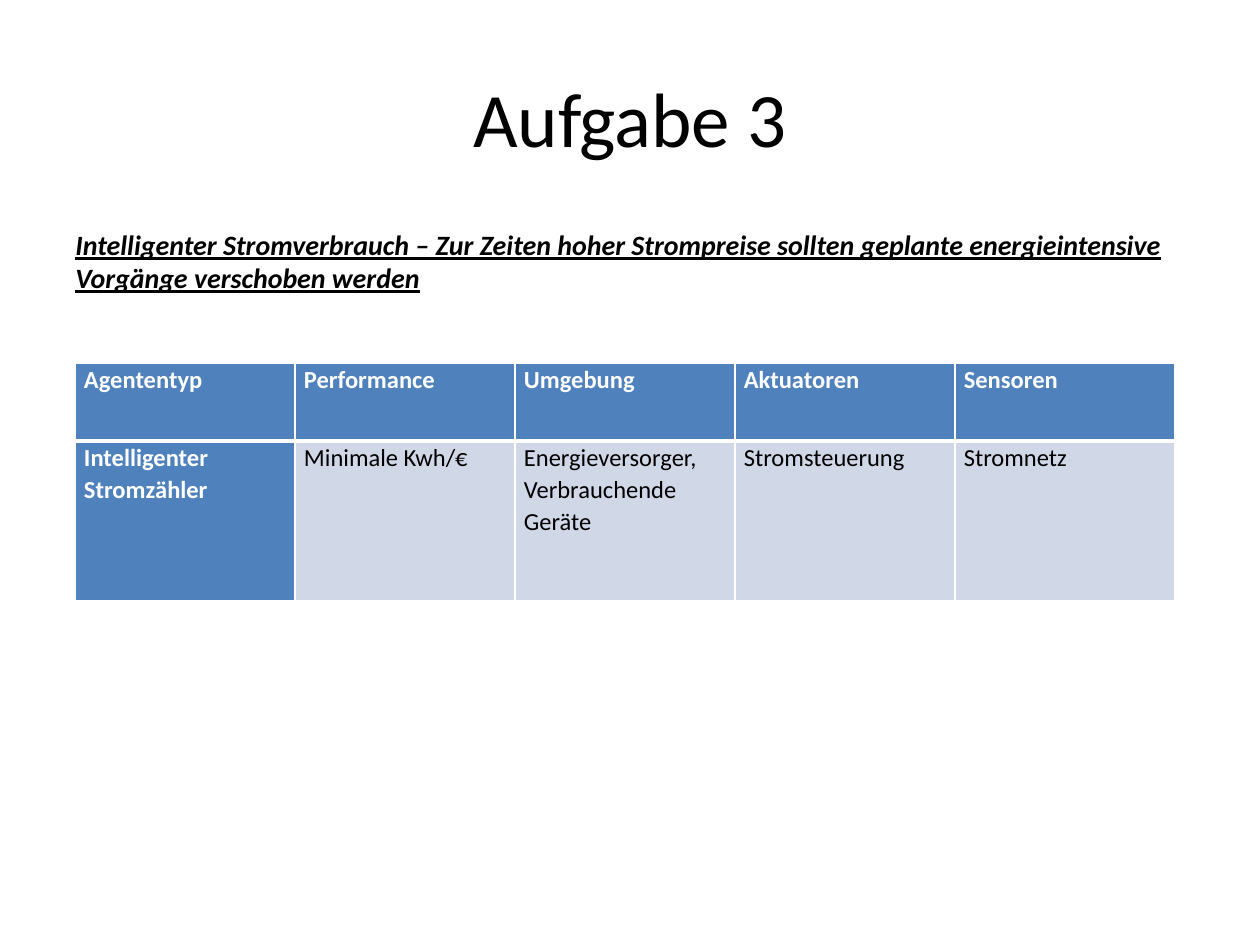
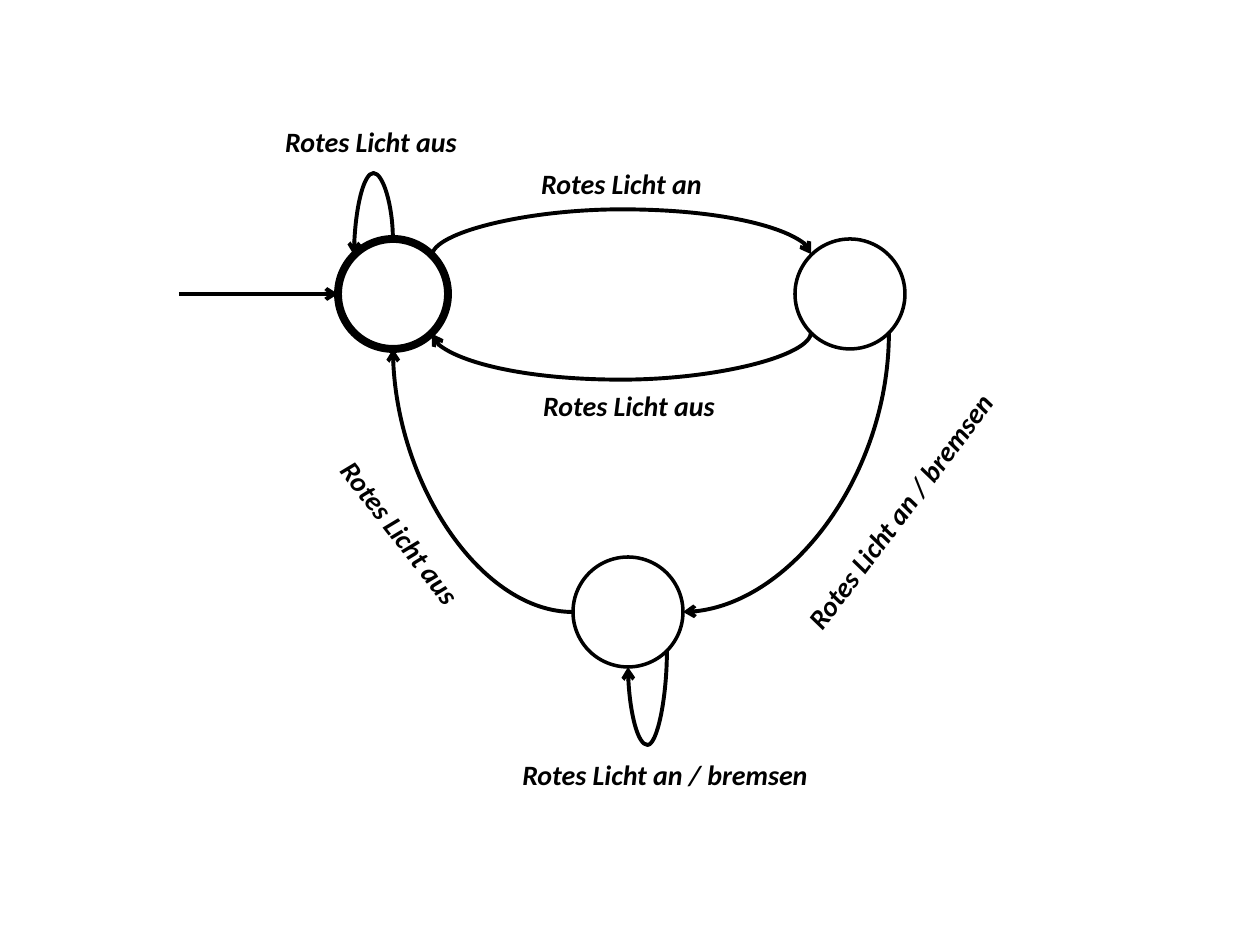
from dataclasses import dataclass
from math import cos, radians, sin

from lxml.etree import SubElement
from pptx import Presentation
from pptx.dml.color import RGBColor
from pptx.enum.shapes import MSO_CONNECTOR, MSO_SHAPE
from pptx.enum.text import MSO_ANCHOR, PP_ALIGN
from pptx.oxml import parse_xml
from pptx.oxml.ns import nsdecls, qn
from pptx.util import Emu, Pt


@dataclass(frozen=True)
class Theme:
    """Colours, font and type sizes shared by the slides."""
    font: str = "Calibri"
    ink: str = "000000"
    paper: str = "FFFFFF"
    accent: str = "4F81BD"
    tint: str = "D0D8E8"
    title_size: int = 44
    text_size: int = 16
    table_size: int = 14


THEME = Theme()
PX = 914400 / 126
MIN_SPAN = 12700 / PX
TOP, TOP_LEFT, LEFT, BOTTOM_LEFT, BOTTOM, BOTTOM_RIGHT, RIGHT, TOP_RIGHT = range(8)


def px(n):
    """Turn px into EMU."""
    return Emu(round(n * PX))


def rgb(code):
    """Turn a hex code into a colour."""
    return RGBColor.from_string(code)


def style_text(tf, size, color=THEME.ink, bold=False, italic=False, underline=False):
    """Format every run of a text frame."""
    for p in tf.paragraphs:
        for r in p.runs:
            f = r.font
            f.name, f.size, f.color.rgb = THEME.font, Pt(size), rgb(color)
            f.bold, f.italic, f.underline = bold, italic, underline


def add_title(s, text, box):
    """Place and format the title placeholder."""
    sp = s.shapes.title
    sp.left, sp.top, sp.width, sp.height = map(px, box)
    tf = sp.text_frame
    tf.text = text
    tf.vertical_anchor = MSO_ANCHOR.MIDDLE
    tf.paragraphs[0].alignment = PP_ALIGN.CENTER
    style_text(tf, THEME.title_size)


def add_text(s, text, box, rotation=0, heading=False):
    """Add a bold italic text, as a wrapped heading or a centred label."""
    sp = s.shapes.add_textbox(*map(px, box))
    sp.rotation = rotation
    tf = sp.text_frame
    tf.word_wrap = heading
    tf.text = text
    tf.paragraphs[0].alignment = PP_ALIGN.LEFT if heading else PP_ALIGN.CENTER
    style_text(tf, THEME.text_size, bold=True, italic=True, underline=heading)


def add_borders(cell, widths):
    """Draw the cell borders, given in points by side."""
    tc_pr = cell._tc.get_or_add_tcPr()
    for i, side in enumerate("LRTB"):
        tc_pr.insert(i, parse_xml(
            f'<a:ln{side} {nsdecls("a")} w="{Pt(widths.get(side, 1))}"><a:solidFill>'
            f'<a:srgbClr val="{THEME.paper}"/></a:solidFill></a:ln{side}>'))


def add_agent_table(s, rows, box, row_heights):
    """Add the agent table with a header row and a header column."""
    x, y, w, h = box
    cols = len(rows[0])
    table = s.shapes.add_table(len(rows), cols, px(x), px(y), px(w), px(h)).table
    for col in table.columns:
        col.width = px(w / cols)
    for i, (row, height) in enumerate(zip(rows, row_heights)):
        table.rows[i].height = px(height)
        for j, text in enumerate(row):
            cell = table.cell(i, j)
            head = i == 0 or j == 0
            cell.margin_left = cell.margin_right = px(9)
            cell.margin_top = cell.margin_bottom = 0
            cell.fill.solid()
            cell.fill.fore_color.rgb = rgb(THEME.accent if head else THEME.tint)
            add_borders(cell, {"B": 3} if i == 0 else {"T": 3})
            tf = cell.text_frame
            tf.text = text
            for p in tf.paragraphs:
                p.line_spacing = 1.07
            style_text(tf, THEME.table_size, THEME.paper if head else THEME.ink, head)


def add_state(s, center, size, weight):
    """Add one state circle."""
    x, y = center
    sp = s.shapes.add_shape(MSO_SHAPE.OVAL, px(x - size / 2), px(y - size / 2), px(size), px(size))
    sp.shadow.inherit = False
    sp.fill.solid()
    sp.fill.fore_color.rgb = rgb(THEME.paper)
    sp.line.color.rgb = rgb(THEME.ink)
    sp.line.width = Pt(weight)
    return sp


def site_point(state, site):
    """Give the px position of a connection site, counted anticlockwise from the top."""
    radius = state.width / PX / 2
    angle = radians(-90 - 45 * site)
    return (state.left / PX + radius * (1 + cos(angle)),
            state.top / PX + radius * (1 + sin(angle)))


def glue(cxn, tag, state, site):
    """Attach one end of a connector to a state."""
    props = cxn._element.find(qn("p:nvCxnSpPr")).find(qn("p:cNvCxnSpPr"))
    SubElement(props, qn(tag), id=str(state.shape_id), idx=str(site))


def format_arrow(cxn):
    """Give a connector its line and arrowhead."""
    cxn.line.color.rgb = rgb(THEME.ink)
    cxn.line.width = Pt(2.25)
    SubElement(cxn.line._get_or_add_ln(), qn("a:tailEnd"), type="arrow")
    SubElement(cxn._element.spPr, qn("a:effectLst"))


def add_start_arrow(s, length, state):
    """Add the straight arrow into the initial state."""
    x, y = site_point(state, LEFT)
    cxn = s.shapes.add_connector(MSO_CONNECTOR.STRAIGHT, px(x - length), px(y), px(x), px(y))
    glue(cxn, "a:endCxn", state, LEFT)
    format_arrow(cxn)


def add_transition(s, source, source_site, target, target_site, bend=None):
    """Add a curved arrow; bend is how far an arc swings vertically from its start."""
    x1, y1 = site_point(source, source_site)
    x2, y2 = site_point(target, target_site)
    dx, dy = x2 - x1, y2 - y1
    cxn = s.shapes.add_connector(MSO_CONNECTOR.CURVE, 0, 0, 0, 0)
    glue(cxn, "a:stCxn", source, source_site)
    glue(cxn, "a:endCxn", target, target_site)
    spPr = cxn._element.spPr
    geom, xfrm = spPr.find(qn("a:prstGeom")), spPr.find(qn("a:xfrm"))
    if source_site == LEFT:
        w, h, turn, flipped = abs(dx), abs(dy), 180, False
    else:
        w, h, turn, flipped = max(abs(dy), MIN_SPAN), abs(dx), 90, dx > 0
    if bend is None:
        geom.set("prst", "curvedConnector2")
    else:
        down = dy if abs(dy) > MIN_SPAN else bend
        ratio = bend / w if down > 0 else -bend / w
        if ratio < 0:
            turn, flipped = 270, not flipped
        guides = geom.find(qn("a:avLst"))
        SubElement(guides, qn("a:gd"), name="adj1", fmla=f"val {round(ratio * 100000)}")
    cxn.left, cxn.top = px((x1 + x2 - w) / 2), px((y1 + y2 - h) / 2)
    cxn.width, cxn.height = px(w), px(h)
    xfrm.set("rot", str(turn * 60000))
    if flipped:
        xfrm.set("flipH", "1")
        xfrm.set("flipV", "1")
    format_arrow(cxn)


def add_task_slide(prs):
    """Build the task slide with its agent table."""
    s = prs.slides.add_slide(prs.slide_layouts[5])
    add_title(s, "Aufgabe 3", (63, 38, 1134, 158))
    add_text(s, "Intelligenter Stromverbrauch – Zur Zeiten hoher Strompreise sollten "
                "geplante energieintensive Vorgänge verschoben werden",
             (63, 221, 1134, 80), heading=True)
    rows = [
        ["Agententyp", "Performance", "Umgebung", "Aktuatoren", "Sensoren"],
        ["Intelligenter Stromzähler", "Minimale Kwh/€",
         "Energieversorger,\nVerbrauchende Geräte", "Stromsteuerung", "Stromnetz"],
    ]
    add_agent_table(s, rows, (75, 363, 1100, 238), (78, 160))


def add_automaton(s, box):
    """Draw the braking automaton inside a box."""
    x, y, w, h = box
    size = 110
    idle = add_state(s, (x, y), size, 4.5)
    braking = add_state(s, (x + 235, y + h), size, 2)
    warned = add_state(s, (x + w, y), size, 2)
    add_transition(s, idle, TOP, idle, TOP_LEFT, -66)
    add_transition(s, warned, BOTTOM_LEFT, idle, BOTTOM_RIGHT, 48)
    add_transition(s, idle, TOP_RIGHT, warned, TOP_LEFT, -47)
    add_transition(s, warned, BOTTOM_RIGHT, braking, RIGHT)
    add_transition(s, braking, LEFT, idle, BOTTOM)
    add_transition(s, braking, BOTTOM_RIGHT, braking, BOTTOM, 94)
    add_start_arrow(s, 159, idle)
    on, off, brake = "Rotes Licht an", "Rotes Licht aus", "Rotes Licht an / bremsen"
    widths = {on: 197, off: 212, brake: 348}
    labels = [
        (on, 130, -134, 0), (off, 130, 88, 0), (brake, 333, 194, 307.1),
        (brake, 98, 457, 0), (off, -99, 215, 52), (off, -128, -176, 0),
    ]
    for text, left, top, rotation in labels:
        add_text(s, text, (x + left, y + top, widths[text], 47), rotation)


def main():
    """Build and save the presentation."""
    prs = Presentation()
    prs.slide_width, prs.slide_height = px(1260), px(945)
    add_task_slide(prs)
    add_automaton(prs.slides.add_slide(prs.slide_layouts[6]), (393, 294, 457, 318))
    prs.save("out.pptx")


if __name__ == "__main__":
    main()
